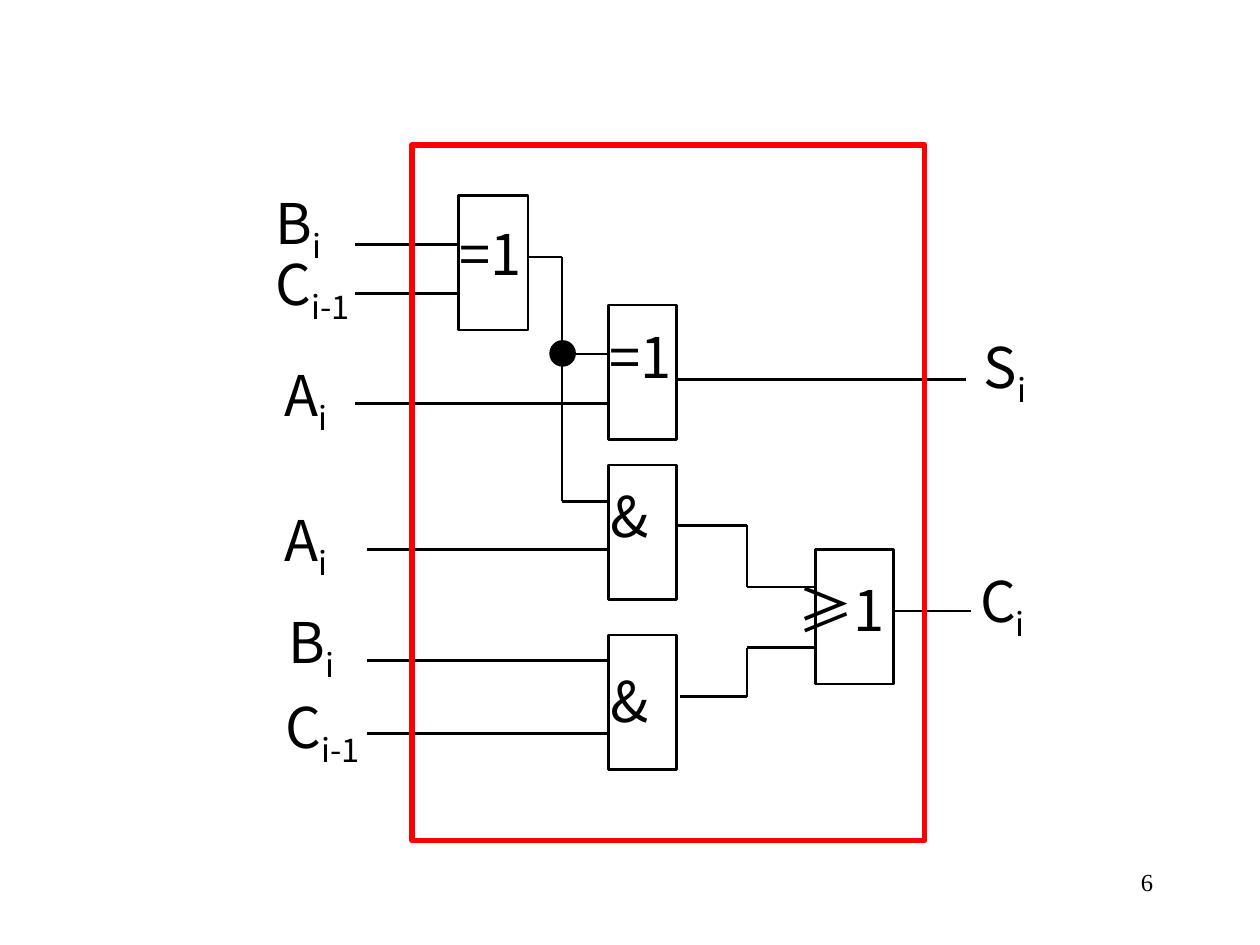
from dataclasses import dataclass
from itertools import pairwise

from lxml import etree
from pptx import Presentation
from pptx.dml.color import RGBColor
from pptx.enum.shapes import MSO_CONNECTOR, MSO_SHAPE
from pptx.enum.text import PP_ALIGN
from pptx.oxml.ns import qn
from pptx.util import Inches, Pt

RECTANGLE = MSO_SHAPE.RECTANGLE
OVAL = MSO_SHAPE.OVAL
STRAIGHT = MSO_CONNECTOR.STRAIGHT
LEFT = PP_ALIGN.LEFT
RIGHT = PP_ALIGN.RIGHT
BLANK_LAYOUT = 6


@dataclass(frozen=True)
class Theme:
    ink: RGBColor = RGBColor(0, 0, 0)
    frame: RGBColor = RGBColor(255, 0, 0)
    symbol_font: str = "Noto Sans CJK SC"
    number_font: str = "Times New Roman"
    symbol_size: int = 32
    number_size: int = 14
    wire_width: float = 1.5
    frame_width: float = 3


THEME = Theme()
GATE_HEIGHT = 1.07
LABEL_HEIGHT = 0.74

GATES = [
    (3.64, 1.55, 0.55),
    (4.83, 2.42, 0.54),
    (4.83, 3.69, 0.54),
    (4.83, 5.04, 0.54),
    (6.47, 4.36, 0.62),
]
GATE_SYMBOLS = [
    ("=1", 3.55, 1.69, 0.79),
    ("=1", 4.74, 2.51, 0.71),
    (" &", 4.65, 3.77, 0.71),
    (" &", 4.65, 5.24, 0.74),
    (" ≥1", 6.13, 4.52, 1.28),
]
SIGNALS = [
    ("B", "i", 2.09, 1.45),
    ("C", "i-1", 2.09, 1.93),
    ("A", "i", 2.16, 2.81),
    ("A", "i", 2.16, 3.96),
    ("B", "i", 2.19, 4.77),
    ("C", "i-1", 2.17, 5.45),
    ("S", "i", 7.71, 2.59),
    ("C", "i", 7.68, 4.45),
]
WIRES = [
    [(2.82, 1.94), (3.64, 1.94)],
    [(2.82, 2.33), (3.64, 2.33)],
    [(2.82, 3.2), (4.83, 3.2)],
    [(2.91, 4.36), (4.83, 4.36)],
    [(2.91, 5.24), (4.83, 5.24)],
    [(2.91, 5.82), (4.83, 5.82)],
    [(4.19, 2.04), (4.46, 2.04), (4.46, 3.98), (4.83, 3.98)],
    [(4.46, 2.81), (4.83, 2.81)],
    [(5.38, 3.01), (7.67, 3.01)],
    [(5.38, 4.17), (5.93, 4.17), (5.93, 4.66), (6.47, 4.66)],
    [(5.4, 5.53), (5.93, 5.53), (5.93, 5.14), (6.47, 5.14)],
    [(7.1, 4.85), (7.71, 4.85)],
]


def add_outline(page, kind, left, top, width, height, color, weight):
    shape = page.shapes.add_shape(
        kind, Inches(left), Inches(top), Inches(width), Inches(height)
    )
    shape.shadow.inherit = False
    shape.fill.background()
    shape.line.color.rgb = color
    shape.line.width = Pt(weight)
    return shape


def add_gate(page, left, top, width):
    add_outline(page, RECTANGLE, left, top, width, GATE_HEIGHT,
                THEME.ink, THEME.wire_width)


def add_junction(page, left, top, size):
    dot = add_outline(page, OVAL, left, top, size, size,
                      THEME.ink, THEME.wire_width)
    dot.fill.solid()
    dot.fill.fore_color.rgb = THEME.ink


def add_wire(page, points):
    for (x1, y1), (x2, y2) in pairwise(points):
        wire = page.shapes.add_connector(
            STRAIGHT, Inches(x1), Inches(y1), Inches(x2), Inches(y2)
        )
        wire.line.color.rgb = THEME.ink
        wire.line.width = Pt(THEME.wire_width)
        etree.SubElement(wire._element.spPr, qn("a:effectLst"))


def add_text(page, text, left, top, width, height, font, size, align=LEFT):
    box = page.shapes.add_textbox(
        Inches(left), Inches(top), Inches(width), Inches(height)
    )
    frame = box.text_frame
    frame.word_wrap = True
    if align == LEFT:
        frame.margin_right = 0
    para = frame.paragraphs[0]
    para.alignment = align
    para.font.name = font
    para.font.size = Pt(size)
    para.font.color.rgb = THEME.ink
    etree.SubElement(para.font._element, qn("a:ea"), typeface=font)
    para.add_run().text = text
    return para


def add_symbol(page, text, left, top, width):
    return add_text(page, text, left, top, width, LABEL_HEIGHT,
                    THEME.symbol_font, THEME.symbol_size)


def add_signal(page, name, index, left, top):
    width = 0.94 if len(index) > 1 else 0.65
    para = add_symbol(page, name, left, top, width)
    span = para.add_run()
    span.text = index
    span.font._element.set("baseline", "-25000")


def main():
    deck = Presentation()
    deck.slide_width = Inches(10)
    deck.slide_height = Inches(7.5)
    page = deck.slides.add_slide(deck.slide_layouts[BLANK_LAYOUT])

    add_text(page, "6", 7.17, 6.83, 2.08, 0.5,
             THEME.number_font, THEME.number_size, RIGHT)
    for gate in GATES:
        add_gate(page, *gate)
    for points in WIRES:
        add_wire(page, points)
    for symbol in GATE_SYMBOLS:
        add_symbol(page, *symbol)
    for signal in SIGNALS:
        add_signal(page, *signal)
    add_junction(page, 4.37, 2.71, 0.19)
    add_outline(page, RECTANGLE, 3.27, 1.15, 4.07, 5.52,
                THEME.frame, THEME.frame_width)

    deck.save("out.pptx")


if __name__ == "__main__":
    main()
